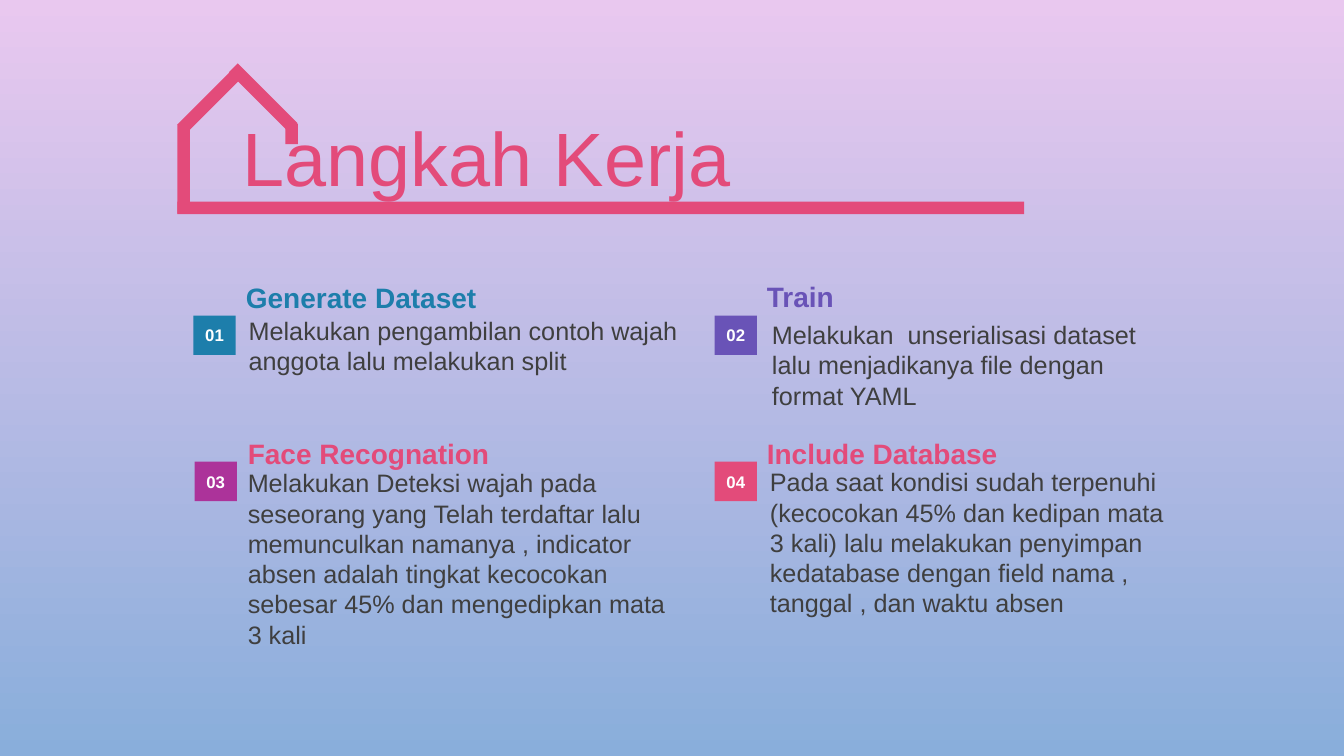
import dataclasses

import pptx
import pptx.dml.color
import pptx.enum.shapes
import pptx.enum.text
import pptx.util

Pt = pptx.util.Pt
ALIGN = pptx.enum.text.PP_ALIGN
ANCHOR = pptx.enum.text.MSO_ANCHOR
RECT = pptx.enum.shapes.MSO_SHAPE.RECTANGLE


@dataclasses.dataclass(frozen=True)
class Theme:
    """Colours, font and type sizes of the slide."""

    font: str = "Arial"
    top: str = "E9C8EF"
    base: str = "89AEDB"
    rose: str = "E34B7A"
    teal: str = "1D7EAB"
    violet: str = "6953B7"
    plum: str = "AC339A"
    ink: str = "3F3F3F"
    white: str = "FFFFFF"
    title: int = 54
    head: int = 20
    body: int = 18
    badge: int = 12


THEME = Theme()

ROOF = [
    (126.7, 144, 604.8, 9, 0),
    (126.7, 88.6, 9, 64, 0),
    (203.8, 88.6, 9, 14.4, 0),
    (146.9, 40.3, 9, 60.5, 45),
    (183.6, 39.6, 9, 60.5, 315),
]

STEPS = [
    ("Generate Dataset", (168.5, 196.6, 295.9, 41.8), THEME.teal,
     "Melakukan pengambilan contoh wajah anggota lalu melakukan split",
     (170.6, 221.8, 326.2, 69.1), (138.2, 225.4), THEME.teal),
    ("Train", (540.7, 195.8, 301.7, 36.7), THEME.violet,
     "Melakukan  unserialisasi dataset lalu menjadikanya file dengan format YAML",
     (544.3, 224.6, 301.7, 61.9), (510.5, 225.4), THEME.violet),
    ("Face Recognation", (169.9, 308.2, 325.4, 62.6), THEME.rose,
     "Melakukan Deteksi wajah pada seseorang yang Telah terdaftar lalu "
     "memunculkan namanya , indicator absen adalah tingkat kecocokan "
     "sebesar 45% dan mengedipkan mata 3 kali",
     (169.9, 330.5, 326.9, 104.4), (139, 329.8), THEME.plum),
    ("Include Database", (540.7, 308.2, 305.3, 72.7), THEME.rose,
     "Pada saat kondisi sudah terpenuhi (kecocokan 45% dan kedipan mata "
     "3 kali) lalu melakukan penyimpan kedatabase dengan field nama , "
     "tanggal , dan waktu absen",
     (542.9, 329.8, 305.3, 121.7), (510.5, 329.8), THEME.rose),
]


def tint(code):
    """Turn a hex code into a colour."""
    return pptx.dml.color.RGBColor.from_string(code)


def write(shape, text, size, color, bold=False, align=ALIGN.LEFT, anchor=ANCHOR.TOP):
    """Put formatted text into a shape."""
    frame = shape.text_frame
    frame.word_wrap = True
    frame.vertical_anchor = anchor
    para = frame.paragraphs[0]
    para.alignment = align
    run = para.add_run()
    run.text = text
    run.font.name = THEME.font
    run.font.size = Pt(size)
    run.font.bold = bold
    run.font.color.rgb = tint(color)


def label(slide, box, text, **style):
    """Add a text box."""
    write(slide.shapes.add_textbox(*map(Pt, box)), text, **style)


def block(slide, box, color, turn=0):
    """Add a plain filled rectangle."""
    shape = slide.shapes.add_shape(RECT, *map(Pt, box))
    shape.shadow.inherit = False
    shape.fill.solid()
    shape.fill.fore_color.rgb = tint(color)
    shape.line.fill.background()
    shape.rotation = turn
    return shape


def paint(slide):
    """Fill the background with a gradient from top to bottom."""
    fill = slide.background.fill
    fill.gradient()
    fill.gradient_angle = 270
    for stop, place, code in zip(fill.gradient_stops, (0, 1), (THEME.top, THEME.base)):
        stop.position = place
        stop.color.rgb = tint(code)


def step(slide, number, head, spot, color, body, area, corner, shade):
    """Add one numbered step with its heading and text."""
    label(slide, area, body, size=THEME.body, color=THEME.ink)
    label(slide, spot, head, size=THEME.head, color=color, bold=True)
    badge = block(slide, (*corner, 30.2, 28.1), shade)
    write(badge, f"{number:02}", THEME.badge, THEME.white, bold=True,
          align=ALIGN.CENTER, anchor=ANCHOR.MIDDLE)


def main():
    """Build and save the slide."""
    deck = pptx.Presentation()
    deck.slide_width, deck.slide_height = Pt(960), Pt(540)
    slide = deck.slides.add_slide(deck.slide_layouts[6])
    paint(slide)
    label(slide, (166.3, 74.9, 576.7, 72.7), "Langkah Kerja",
          size=THEME.title, color=THEME.rose, anchor=ANCHOR.MIDDLE)
    for *box, turn in ROOF:
        block(slide, box, THEME.rose, turn)
    for number, parts in enumerate(STEPS, 1):
        step(slide, number, *parts)
    deck.save("out.pptx")


if __name__ == "__main__":
    main()
